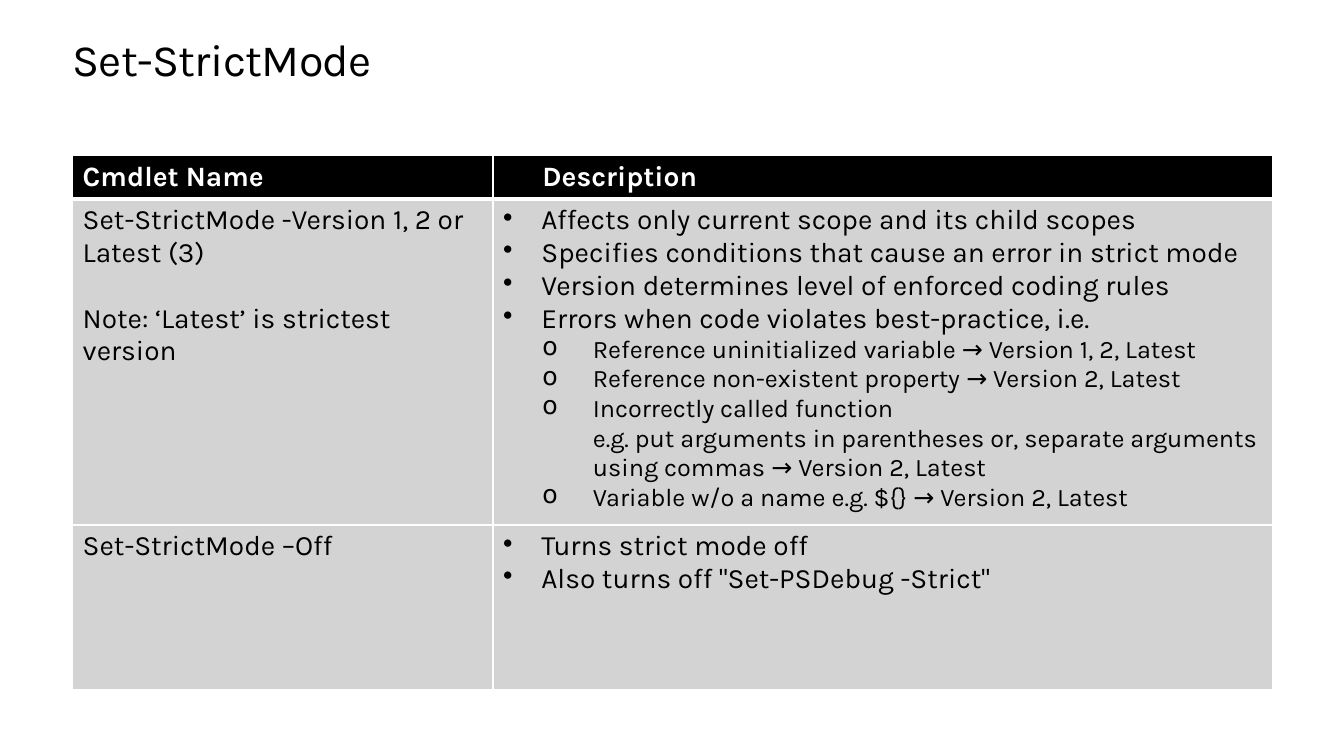
from dataclasses import dataclass

from lxml.etree import SubElement
from pptx import Presentation
from pptx.dml.color import RGBColor
from pptx.enum.text import MSO_ANCHOR as Anchor, MSO_AUTO_SIZE as AutoSize, PP_ALIGN as Align
from pptx.oxml.ns import qn
from pptx.slide import Slide
from pptx.table import _Cell as Cell
from pptx.util import Inches, Pt

BLACK = RGBColor(0x00, 0x00, 0x00)
WHITE = RGBColor(0xFF, 0xFF, 0xFF)
GREY = RGBColor(0xD3, 0xD3, 0xD3)
FONT = "Karla"
LEFT, WIDTH = Inches(0.72), Inches(11.9)
COLUMN_WIDTHS = [4.17, 7.73]
ROW_HEIGHTS = [0.38, 2.86, 1.63]


@dataclass(frozen=True)
class Item:
    text: str
    size: int = 20
    margin: float = 0
    indent: float = 0
    bullet: str = ""
    before: float = 0


def point(text: str) -> Item:
    return Item(text, 20, 0.38, -0.38, "•")


def subpoint(text: str) -> Item:
    return Item(text, 18, 0.89, -0.5, "o")


ROWS: list[list[list[Item]]] = [
    [[Item("Cmdlet Name")], [Item("Description", margin=0.39)]],
    [
        [
            Item("Set-StrictMode -Version 1, 2 or Latest (3)"),
            Item("Note: ‘Latest’ is strictest version", before=23.4),
        ],
        [
            point("Affects only current scope and its child scopes"),
            point("Specifies conditions that cause an error in strict mode"),
            point("Version determines level of enforced coding rules"),
            point("Errors when code violates best-practice, i.e."),
            subpoint("Reference uninitialized variable → Version 1, 2, Latest"),
            subpoint("Reference non-existent property → Version 2, Latest"),
            subpoint("Incorrectly called function\ve.g. put arguments in parentheses or, "
                     "separate arguments using commas → Version 2, Latest"),
            subpoint("Variable w/o a name e.g. ${} → Version 2, Latest"),
        ],
    ],
    [
        [Item("Set-StrictMode –Off")],
        [point("Turns strict mode off"), point('Also turns off "Set-PSDebug -Strict"')],
    ],
]


def add_title(s: Slide, text: str) -> None:
    title = s.shapes.title
    box = {"left": LEFT, "top": Inches(0.35), "width": WIDTH, "height": Inches(0.5)}
    for name, value in box.items():
        setattr(title, name, value)
    tf = title.text_frame
    frame = {"margin_left": 0, "margin_top": 0, "margin_right": 0, "margin_bottom": 0,
             "word_wrap": True, "vertical_anchor": Anchor.TOP,
             "auto_size": AutoSize.SHAPE_TO_FIT_TEXT}
    for name, value in frame.items():
        setattr(tf, name, value)
    p = tf.paragraphs[0]
    p.alignment, p.line_spacing = Align.LEFT, Pt(36.2)
    r = p.add_run()
    r.text = text
    for name, value in {"name": FONT, "size": Pt(32), "bold": False}.items():
        setattr(r.font, name, value)
    r.font.color.rgb = BLACK
    r.font._element.set("spc", "-50")


def set_borders(cell: Cell, bottom: float, top: float) -> None:
    """Draw white lines around a cell, with widths in points."""
    tc_pr = cell._tc.get_or_add_tcPr()
    for side, width in {"L": 1, "R": 1, "T": top, "B": bottom}.items():
        line = SubElement(tc_pr, qn(f"a:ln{side}"), w=str(Pt(width)))
        fill = SubElement(line, qn("a:solidFill"))
        SubElement(fill, qn("a:srgbClr"), val=str(WHITE))


def fill_cell(cell: Cell, items: list[Item], header: bool) -> None:
    tf = cell.text_frame
    for i, item in enumerate(items):
        p = tf.paragraphs[0] if i == 0 else tf.add_paragraph()
        p.text = item.text
        if item.before:
            p.space_before = Pt(item.before)
        p_pr = p._p.get_or_add_pPr()
        p_pr.set("marL", str(Inches(item.margin)))
        p_pr.set("indent", str(Inches(item.indent)))
        if item.bullet:
            SubElement(p_pr, qn("a:buChar"), char=item.bullet)
        for r in p.runs:
            for name, value in {"name": FONT, "size": Pt(item.size), "bold": header}.items():
                setattr(r.font, name, value)
            r.font.color.rgb = WHITE if header else BLACK


def add_cmdlet_table(s: Slide) -> None:
    table = s.shapes.add_table(len(ROWS), len(COLUMN_WIDTHS), LEFT, Inches(1.54),
                               WIDTH, Inches(sum(ROW_HEIGHTS))).table
    for column, width in zip(table.columns, COLUMN_WIDTHS):
        column.width = Inches(width)
    for row, height in zip(table.rows, ROW_HEIGHTS):
        row.height = Inches(height)
    for i, row_items in enumerate(ROWS):
        for j, items in enumerate(row_items):
            cell = table.cell(i, j)
            set_borders(cell, bottom=3 if i == 0 else 1, top=3 if i == 1 else 1)
            cell.fill.solid()
            cell.fill.fore_color.rgb = BLACK if i == 0 else GREY
            fill_cell(cell, items, header=i == 0)


def main() -> None:
    prs = Presentation()
    prs.slide_width, prs.slide_height = Inches(13.33), Inches(7.5)
    s = prs.slides.add_slide(prs.slide_layouts[5])
    add_title(s, "Set-StrictMode")
    add_cmdlet_table(s)
    prs.save("out.pptx")


if __name__ == "__main__":
    main()
